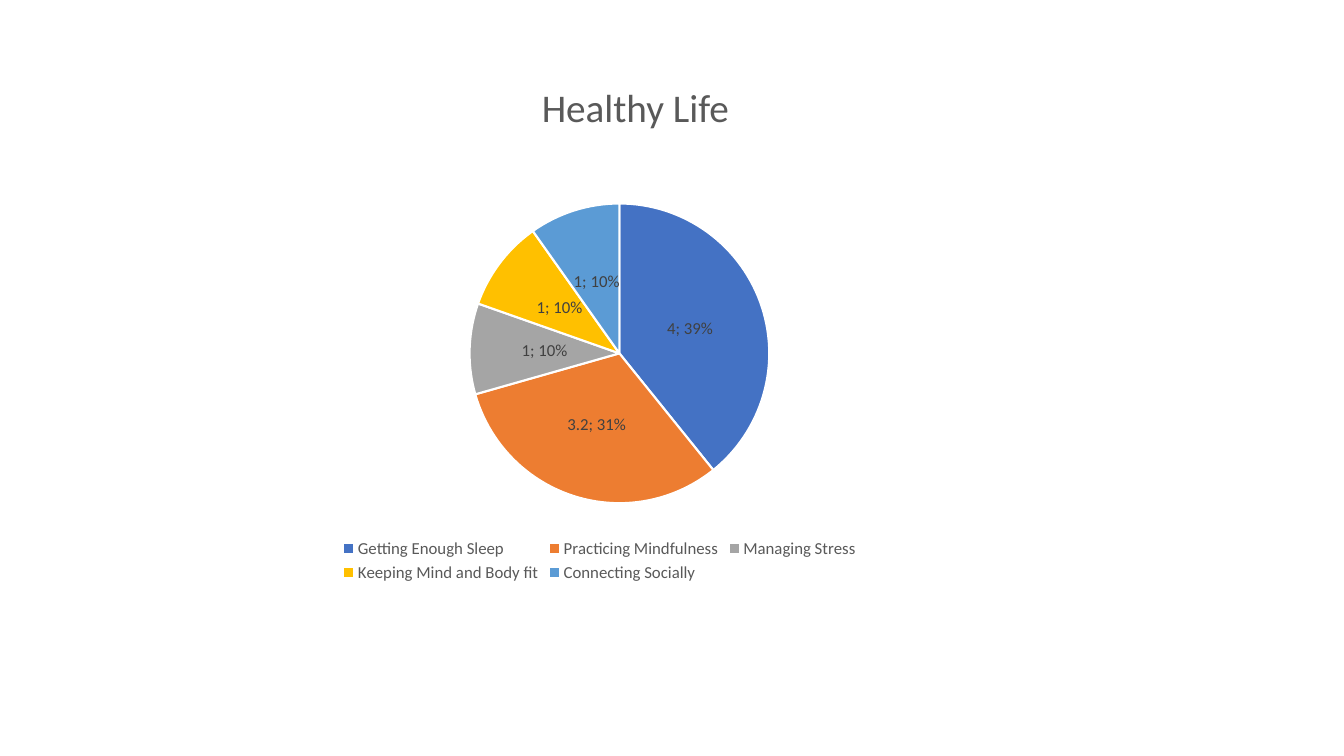
import pptx
import pptx.chart.data
import pptx.dml.color
import pptx.enum.chart
import pptx.enum.text
import pptx.oxml
import pptx.oxml.ns
import pptx.util

Cm = pptx.util.Cm
Pt = pptx.util.Pt

COLORS = {
    "heading": "595959",
    "legend": "595959",
    "label": "404040",
    "chart_text": "000000",
    "border": "FFFFFF",
}
HABITS = [
    ("Getting Enough Sleep", 4, "4472C4"),
    ("Practicing Mindfulness", 3.2, "ED7D31"),
    ("Managing Stress", 1, "A5A5A5"),
    ("Keeping Mind and Body fit", 1, "FFC000"),
    ("Connecting Socially", 1, "5B9BD5"),
]


class SlideBuilder:
    font_name = "Calibri"

    def __init__(self, slide):
        self.slide = slide

    def style(self, font, size, color):
        font.name = self.font_name
        font.size = Pt(size)
        font.color.rgb = pptx.dml.color.RGBColor.from_string(color)

    def title(self, text, left, top, width, height):
        heading = self.slide.shapes.title
        heading.left, heading.top = Cm(left), Cm(top)
        heading.width, heading.height = Cm(width), Cm(height)
        frame = heading.text_frame
        frame.text = text
        frame.word_wrap = True
        frame.auto_size = pptx.enum.text.MSO_AUTO_SIZE.SHAPE_TO_FIT_TEXT
        paragraph = frame.paragraphs[0]
        paragraph.alignment = pptx.enum.text.PP_ALIGN.CENTER
        self.style(paragraph.font, 28, COLORS["heading"])

    def pie(self, habits, left, top, width, height, plot_area):
        names, values, fills = zip(*habits)
        data = pptx.chart.data.CategoryChartData()
        data.categories = names
        data.add_series("Series 1", values)
        chart = self.slide.shapes.add_chart(
            pptx.enum.chart.XL_CHART_TYPE.PIE,
            Cm(left), Cm(top), Cm(width), Cm(height), data,
        ).chart
        self.style(chart.font, 10, COLORS["chart_text"])
        chart.has_title = False
        chart.has_legend = True
        chart.legend.position = pptx.enum.chart.XL_LEGEND_POSITION.BOTTOM
        chart.legend.include_in_layout = False
        self.style(chart.legend.font, 12, COLORS["legend"])
        chart.plots[0].vary_by_categories = True
        shares = chart.plots[0].series[0]
        for index, fill in enumerate(fills):
            slice_format = shares.points[index].format
            slice_format.fill.solid()
            slice_format.fill.fore_color.rgb = pptx.dml.color.RGBColor.from_string(fill)
            slice_format.line.width = Pt(1.5)
            slice_format.line.color.rgb = pptx.dml.color.RGBColor.from_string(COLORS["border"])
        self.label_slices(shares.data_labels)
        self.place_plot(chart, plot_area)

    def label_slices(self, labels):
        labels.show_value = True
        labels.show_percentage = True
        labels.position = pptx.enum.chart.XL_LABEL_POSITION.CENTER
        self.style(labels.font, 12, COLORS["label"])
        separator = pptx.oxml.parse_xml(
            f'<c:separator {pptx.oxml.ns.nsdecls("c")}>; </c:separator>')
        labels._element.find(pptx.oxml.ns.qn("c:showBubbleSize")).addnext(separator)

    def place_plot(self, chart, plot_area):
        plot = chart._chartSpace.chart.plotArea
        for automatic in plot.findall(pptx.oxml.ns.qn("c:layout")):
            plot.remove(automatic)
        modes = '<c:layoutTarget val="inner"/><c:xMode val="edge"/><c:yMode val="edge"/>'
        sizes = "".join(f'<c:{key} val="{part}"/>' for key, part in zip("xywh", plot_area))
        plot.insert(0, pptx.oxml.parse_xml(
            f'<c:layout {pptx.oxml.ns.nsdecls("c")}>'
            f'<c:manualLayout>{modes}{sizes}</c:manualLayout></c:layout>'))


def main():
    deck = pptx.Presentation()
    deck.slide_width, deck.slide_height = Cm(33.87), Cm(19.05)
    builder = SlideBuilder(deck.slides.add_slide(deck.slide_layouts[5]))
    builder.pie(HABITS, 6.86, 4.29, 16.51, 10.49, (0.06, 0.08, 0.94, 0.72))
    builder.title("Healthy Life", 7.54, 1.96, 16.94, 1.45)
    deck.save("out.pptx")


if __name__ == "__main__":
    main()
